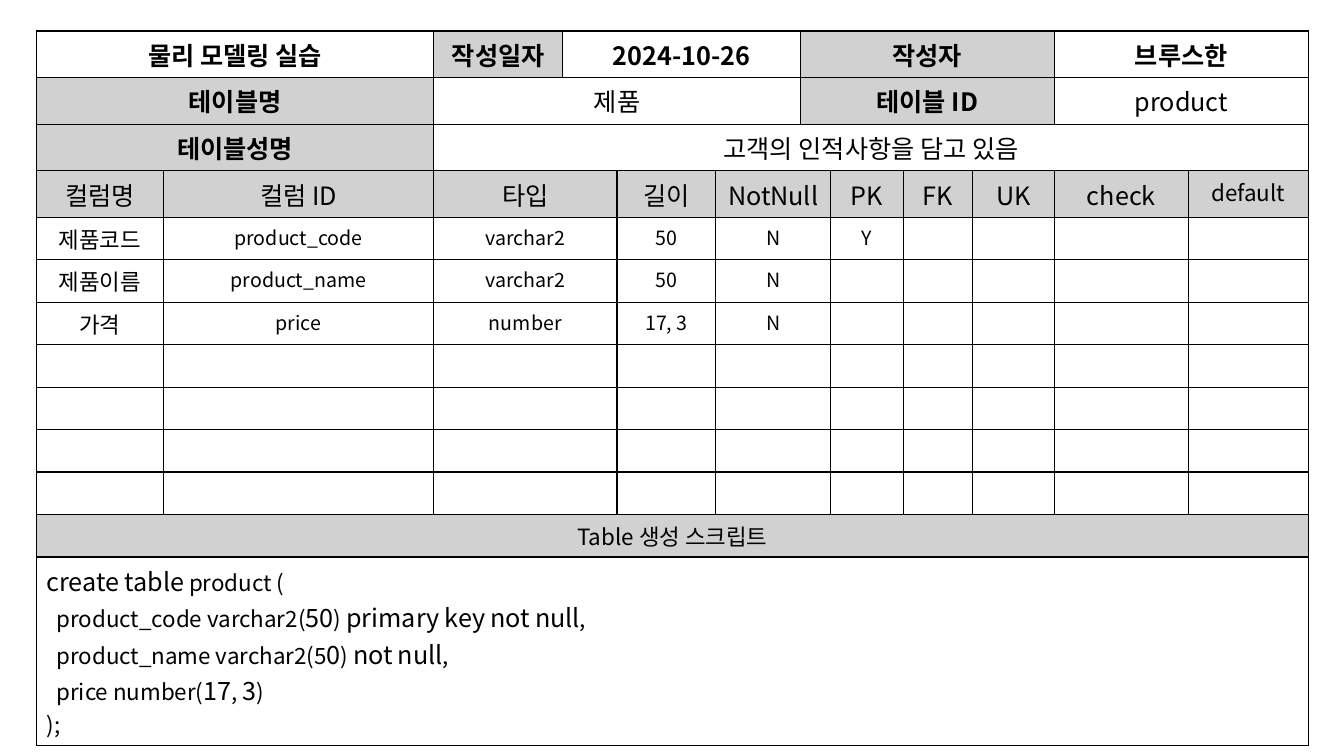
from dataclasses import dataclass
from itertools import cycle

from lxml.etree import SubElement
from pptx import Presentation
from pptx.dml.color import RGBColor
from pptx.enum.text import PP_ALIGN
from pptx.oxml import parse_xml
from pptx.oxml.ns import nsdecls, qn
from pptx.table import Table, _Cell
from pptx.text.text import _Paragraph
from pptx.util import Cm, Pt

BLACK = RGBColor(0x00, 0x00, 0x00)
WHITE = RGBColor(0xFF, 0xFF, 0xFF)
GRAY = RGBColor(0xD1, 0xD1, 0xD1)
FONT = "Noto Sans CJK KR"
LARGE, MEDIUM, SMALL = 18, 16, 14

COLUMN_WIDTHS = [3.2, 6.81, 3.25, 1.37, 2.49, 2.13, 0.76, 1.83, 1.75, 2.06, 3.38, 3.02]
ROW_HEIGHTS = [1.17] * 4 + [1.07] * 8 + [4.74]
FIELD_SPANS = [1, 1, 2, 1, 2, 1, 1, 1, 1, 1]


@dataclass
class Entry:
    text: str = ""
    span: int = 1
    fill: RGBColor = WHITE
    size: int = LARGE
    bold: bool = False


@dataclass
class CodeLine:
    pieces: list[str]  # sizes alternate from piece to piece
    large_first: bool = False
    indented: bool = False


def label(text: str, span: int = 1) -> Entry:
    return Entry(text, span, GRAY, bold=True)


def field_row(texts: list[str]) -> list[Entry]:
    sizes = [MEDIUM] + [SMALL] * (len(FIELD_SPANS) - 1)
    padded = texts + [""] * (len(FIELD_SPANS) - len(texts))
    return [Entry(text, span, size=size)
            for text, span, size in zip(padded, FIELD_SPANS, sizes)]


# Contents of the form
HEADINGS = ["컬럼명", "컬럼 ID", "타입", "길이", "NotNull", "PK", "FK", "UK", "check", "default"]
FIELDS = [
    ["제품코드", "product_code", "varchar2", "50", "N", "Y"],
    ["제품이름", "product_name", "varchar2", "50", "N"],
    ["가격", "price", "number", "17, 3", "N"],
    [], [], [], [],
]
ROWS = [
    [Entry("물리 모델링 실습", 2, bold=True), label("작성일자"),
     Entry("2024-10-26", 3, bold=True), label("작성자", 4), Entry("브루스한", 2, bold=True)],
    [label("테이블명", 2), Entry("제품", 4), label("테이블 ID", 4), Entry("product", 2)],
    [label("테이블성명", 2), Entry("고객의 인적사항을 담고 있음", 10)],
    [Entry(text, span, GRAY, MEDIUM if text == "default" else LARGE)
     for text, span in zip(HEADINGS, FIELD_SPANS)],
    *[field_row(texts) for texts in FIELDS],
    [Entry("Table 생성 스크립트", 12, GRAY, MEDIUM)],
    [Entry(span=12)],
]
CODE = [
    CodeLine(["create", " ", "table", " product ("], large_first=True),
    CodeLine(["product_code varchar2(", "50", ") ", "primary", " ", "key", " ",
              "not", " ", "null", ","], indented=True),
    CodeLine(["product_name varchar2(5", "0", ") ", "not", " ", "null", ","], indented=True),
    CodeLine(["price number(", "17", ", ", "3", ")"], indented=True),
    CodeLine([");"]),
]


def style_paragraph(para: _Paragraph, size: int, bold: bool = False) -> None:
    font = para.font
    font.name, font.size, font.bold = FONT, Pt(size), bold
    font.color.rgb = BLACK
    defaults = para._p.pPr.find(qn("a:defRPr"))
    defaults.find(qn("a:latin")).addnext(
        parse_xml(f'<a:ea {nsdecls("a")} typeface="{FONT}"/>'))


def add_borders(cell: _Cell) -> None:
    properties = cell._tc.get_or_add_tcPr()
    for position, side in enumerate(("lnL", "lnR", "lnT", "lnB")):
        line = parse_xml(f'<a:{side} {nsdecls("a")} w="{Pt(1)}"/>')
        fill = SubElement(line, qn("a:solidFill"))
        SubElement(fill, qn("a:srgbClr")).set("val", str(BLACK))
        properties.insert(position, line)


def fill_row(table: Table, row: int, entries: list[Entry]) -> None:
    column = 0
    for entry in entries:
        cell = table.cell(row, column)
        if entry.span > 1:
            cell.merge(table.cell(row, column + entry.span - 1))
        cell.fill.solid()
        cell.fill.fore_color.rgb = entry.fill
        if entry.text:
            para = cell.text_frame.paragraphs[0]
            para.text = entry.text
            para.alignment = PP_ALIGN.CENTER
            style_paragraph(para, entry.size, entry.bold)
        else:
            cell.margin_top = cell.margin_bottom = 0
        column += entry.span


def write_code(cell: _Cell, lines: list[CodeLine]) -> None:
    cell.margin_top = cell.margin_bottom = Cm(0.13)
    frame = cell.text_frame
    for number, line in enumerate(lines):
        para = frame.add_paragraph() if number else frame.paragraphs[0]
        style_paragraph(para, MEDIUM)
        if line.indented:
            para._p.pPr.set("marL", str(Cm(0.25)))
        sizes = (LARGE, MEDIUM) if line.large_first else (MEDIUM, LARGE)
        for piece, size in zip(line.pieces, cycle(sizes)):
            span = para.add_run()
            span.text = piece
            span.font.size = Pt(size)


def main() -> None:
    deck = Presentation()
    deck.slide_width, deck.slide_height = Cm(33.87), Cm(19.05)
    page = deck.slides.add_slide(deck.slide_layouts[6])

    # Table grid
    frame = page.shapes.add_table(len(ROW_HEIGHTS), len(COLUMN_WIDTHS), Cm(0.92), Cm(0.78),
                                  Cm(sum(COLUMN_WIDTHS)), Cm(sum(ROW_HEIGHTS)))
    table = frame.table
    table.first_row = table.horz_banding = False
    for column, width in zip(table.columns, COLUMN_WIDTHS):
        column.width = Cm(width)
    for row, height in zip(table.rows, ROW_HEIGHTS):
        row.height = Cm(height)

    # Cell contents
    for number, entries in enumerate(ROWS):
        fill_row(table, number, entries)
    write_code(table.cell(len(ROWS) - 1, 0), CODE)
    for cell in table.iter_cells():
        add_borders(cell)

    deck.save("out.pptx")


if __name__ == "__main__":
    main()
